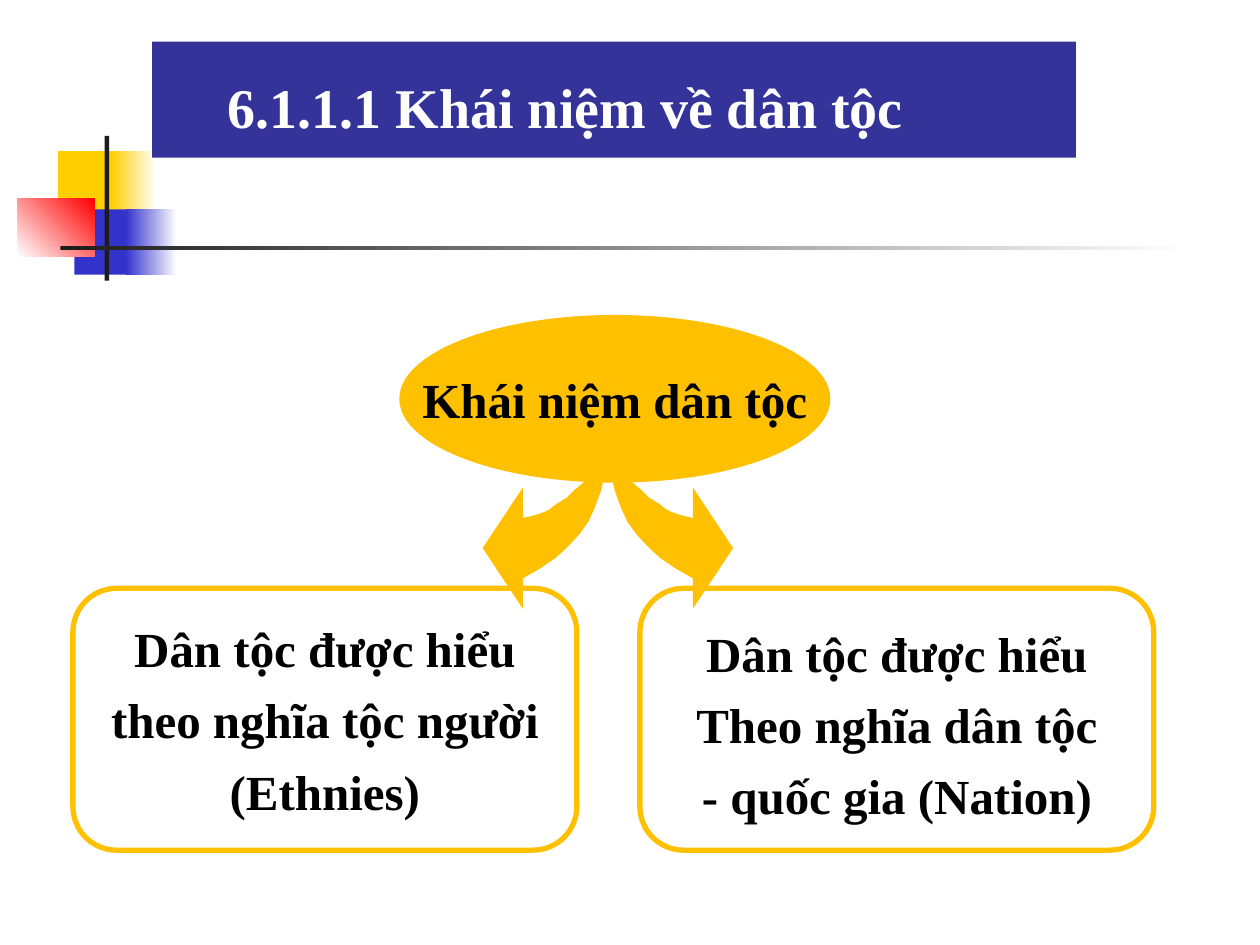
import dataclasses
from typing import Optional

import pptx
import pptx.dml.color
import pptx.enum.shapes
import pptx.enum.text
import pptx.util

Cm = pptx.util.Cm
Pt = pptx.util.Pt
SHAPE = pptx.enum.shapes.MSO_SHAPE
ALIGN = pptx.enum.text.PP_ALIGN

COLOURS = {
    "yellow": "FFCF01",
    "blue": "3333CC",
    "red": "FF0000",
    "charcoal": "1C1C1C",
    "gold": "FFC000",
    "navy": "333399",
    "black": "000000",
    "white": "FFFFFF",
}


@dataclasses.dataclass
class Block:
    """A plain or two-colour rectangle of the corner ornament, in centimetres."""
    left: float
    top: float
    width: float
    height: float
    colour: str
    end_colour: Optional[str] = None
    angle: float = 0


@dataclasses.dataclass
class Label:
    """A shape with text, in centimetres."""
    kind: SHAPE
    left: float
    top: float
    width: float
    height: float
    text: str
    fill: Optional[str] = None
    line: Optional[str] = None
    text_colour: str = "black"
    size: int = 28
    alignment: ALIGN = ALIGN.CENTER
    wrap: bool = False
    margin_left: float = 0.25
    margin_top: float = 0.13


ORNAMENT = [
    Block(1.17, 3.05, 1.22, 1.32, "yellow"),
    Block(2.24, 3.05, 0.91, 1.32, "yellow", "white"),
    Block(1.5, 4.22, 1.17, 1.32, "blue"),
    Block(2.54, 4.22, 1.02, 1.32, "blue", "white"),
    Block(0.36, 4.01, 1.55, 1.17, "white", "red", 45),
    Block(2.11, 2.74, 0.09, 2.92, "charcoal"),
    Block(1.22, 4.95, 22.86, 0.09, "charcoal", "white"),
]

MEANINGS = [
    Label(SHAPE.ROUNDED_RECTANGLE, 1.47, 11.86, 10.16, 5.28,
          "Dân tộc được hiểu\ntheo nghĩa tộc người\n(Ethnies)", line="gold"),
    Label(SHAPE.ROUNDED_RECTANGLE, 12.9, 11.86, 10.36, 5.28,
          "Dân tộc được hiểu\nTheo nghĩa dân tộc\n- quốc gia (Nation)",
          line="gold", margin_top=0.33),
]
CONCEPT = Label(SHAPE.OVAL, 8.05, 6.35, 8.69, 3.38, "Khái niệm dân tộc", fill="gold")
TITLE = Label(SHAPE.RECTANGLE, 3.07, 0.84, 18.62, 2.34, "6.1.1.1 Khái niệm về dân tộc",
              fill="navy", text_colour="white", size=32, alignment=ALIGN.JUSTIFY,
              wrap=True, margin_left=1.52, margin_top=0.38)

ARROW_TOP = 8.84
# Distances in centimetres outwards and downwards from the arrow's root.
ARROW_OUTLINE = [
    (0, 0), (0.03, 0.38), (0.05, 0.74), (0.13, 1.07), (0.25, 1.4), (0.38, 1.68),
    (0.56, 1.93), (0.79, 2.18), (1.04, 2.41), (1.35, 2.62), (1.7, 2.82),
    (1.7, 3.43), (2.51, 2.21), (1.7, 0.99), (1.7, 1.6), (1.55, 1.57),
    (1.37, 1.52), (1.19, 1.45), (1.02, 1.32), (0.81, 1.19), (0.66, 1.04),
    (0.48, 0.89), (0.33, 0.71), (0.2, 0.53), (0.1, 0.36), (0.03, 0.15),
]


def rgb(name: str) -> pptx.dml.color.RGBColor:
    return pptx.dml.color.RGBColor.from_string(COLOURS[name])


def fill_solid(shape, colour: str) -> None:
    shape.fill.solid()
    shape.fill.fore_color.rgb = rgb(colour)


def add_plain_shape(slide, kind: SHAPE, item):
    """Add a preset shape at the item's place, without shadow or line."""
    shape = slide.shapes.add_shape(
        kind, Cm(item.left), Cm(item.top), Cm(item.width), Cm(item.height))
    shape.shadow.inherit = False
    shape.line.fill.background()
    return shape


def add_block(slide, block: Block) -> None:
    shape = add_plain_shape(slide, SHAPE.RECTANGLE, block)
    if block.end_colour is None:
        fill_solid(shape, block.colour)
        return
    shape.fill.gradient()
    shape.fill.gradient_angle = block.angle
    for stop, colour in zip(shape.fill.gradient_stops, (block.colour, block.end_colour)):
        stop.color.rgb = rgb(colour)


def add_label(slide, label: Label) -> None:
    shape = add_plain_shape(slide, label.kind, label)
    if label.fill:
        fill_solid(shape, label.fill)
    else:
        shape.fill.background()
    if label.line:
        shape.line.color.rgb = rgb(label.line)
        shape.line.width = Pt(3)

    text_frame = shape.text_frame
    text_frame.text = label.text
    text_frame.word_wrap = label.wrap
    text_frame.vertical_anchor = pptx.enum.text.MSO_ANCHOR.MIDDLE
    text_frame.margin_left = Cm(label.margin_left)
    text_frame.margin_top = Cm(label.margin_top)
    for index, paragraph in enumerate(text_frame.paragraphs):
        paragraph.alignment = label.alignment
        if index:
            paragraph.space_before = Pt(7)
        for run in paragraph.runs:
            run.font.name = "Times New Roman"
            run.font.size = Pt(label.size)
            run.font.bold = True
            run.font.color.rgb = rgb(label.text_colour)


def add_arrow(slide, root: float, direction: int) -> None:
    """Draw a curved arrow from root; direction is -1 to the left, 1 to the right."""
    points = [(Cm(root + direction * across), Cm(ARROW_TOP + down))
              for across, down in ARROW_OUTLINE]
    builder = slide.shapes.build_freeform(*points[0])
    builder.add_line_segments(points[1:], close=True)
    shape = builder.convert_to_shape()
    shape.shadow.inherit = False
    shape.line.fill.background()
    fill_solid(shape, "gold")


def main() -> None:
    presentation = pptx.Presentation()
    presentation.slide_width = Cm(25.4)
    presentation.slide_height = Cm(19.05)
    slide = presentation.slides.add_slide(presentation.slide_layouts[6])

    for block in ORNAMENT:
        add_block(slide, block)
    for meaning in MEANINGS:
        add_label(slide, meaning)
    add_arrow(slide, 12.24, -1)
    add_arrow(slide, 12.27, 1)
    add_label(slide, CONCEPT)
    add_label(slide, TITLE)

    presentation.save("out.pptx")


if __name__ == "__main__":
    main()
